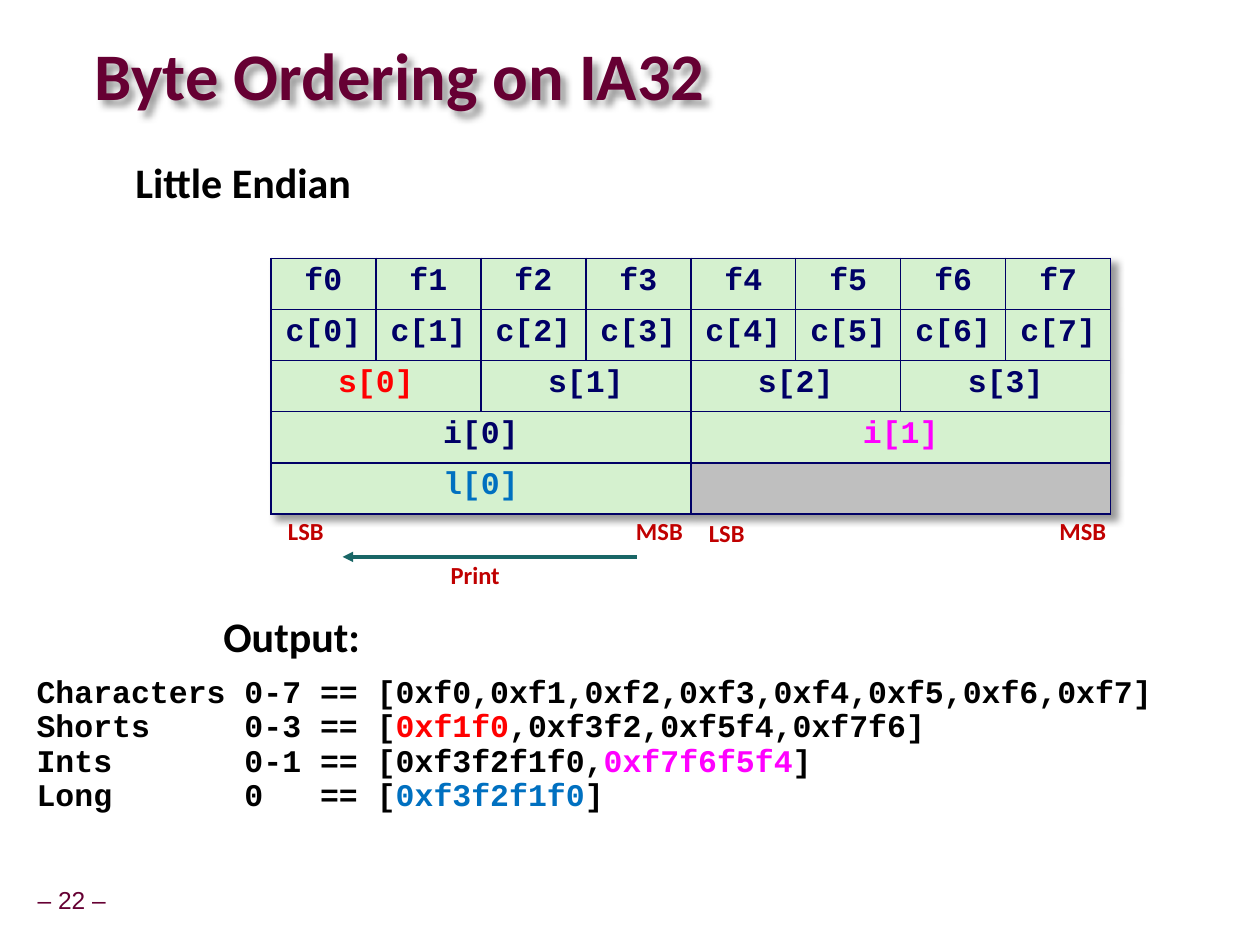
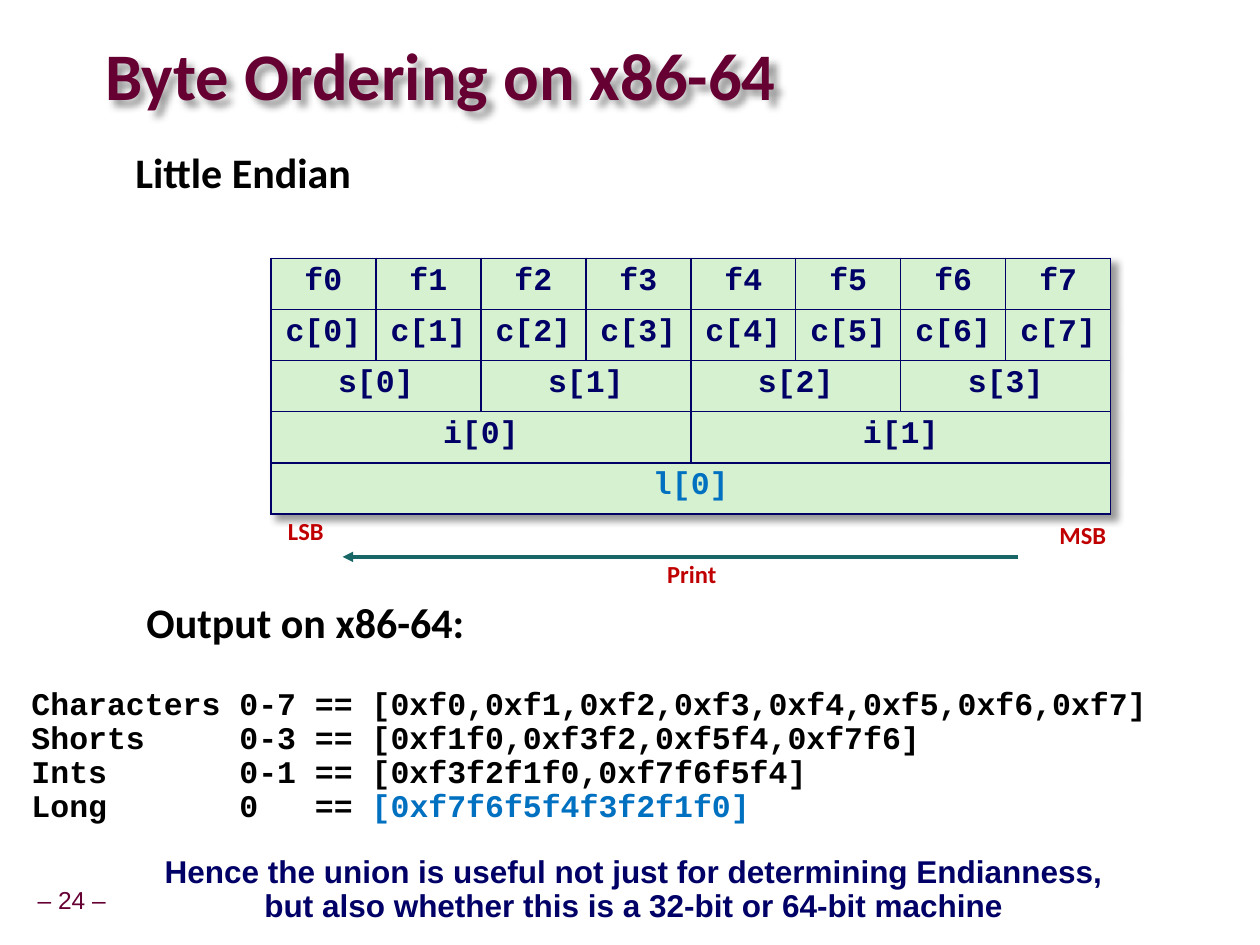
from collections.abc import Sequence
from dataclasses import dataclass, field
from typing import NamedTuple

from lxml.etree import SubElement as Sub
from pptx import Presentation as Deck
from pptx.dml.color import RGBColor as Rgb
from pptx.enum.shapes import MSO_CONNECTOR as Link
from pptx.enum.text import MSO_ANCHOR as Anchor, MSO_AUTO_SIZE as Fit, PP_ALIGN as Align
from pptx.oxml import parse_xml as to_xml
from pptx.oxml.ns import qn
from pptx.util import Pt

NS = 'xmlns:a="http://schemas.openxmlformats.org/drawingml/2006/main"'


@dataclass(frozen=True)
class Theme:
    wine: str = "660033"
    black: str = "000000"
    navy: str = "000066"
    mint: str = "D5F1CF"
    gray: str = "BFBFBF"
    teal: str = "196666"
    brick: str = "C00000"
    red: str = "FF0000"
    pink: str = "FF00FF"
    blue: str = "0070C0"
    sans: str = "Calibri"
    mono: str = "Courier New"
    plain: str = "Arial"
    big: int = 38
    mid: int = 24
    code: int = 18
    small: int = 14


T = Theme()


class Box(NamedTuple):
    left: float
    top: float
    width: float
    height: float


class Run(NamedTuple):
    text: str
    tint: str | None = None


Line = Sequence[Run]


@dataclass(frozen=True)
class Style:
    face: str
    size: int
    tint: str
    bold: bool = True
    align: Align = Align.CENTER
    space: float = 0.9
    inset: float = 2.9
    hang: float = 0
    wrap: bool = True
    anchor: Anchor = Anchor.TOP


TITLE = Style(T.sans, T.big, T.wine, align=Align.LEFT, space=0.87, inset=0,
              hang=6.5, anchor=Anchor.MIDDLE)
HEAD = Style(T.sans, T.mid, T.black, hang=14.4)
CODE = Style(T.mono, T.code, T.black, align=Align.LEFT)
CELL = Style(T.mono, T.code, T.navy)
MARK = Style(T.sans, T.small, T.brick, align=Align.RIGHT, wrap=False)
PRINT = Style(T.sans, T.small, T.brick, wrap=False)
NOTE = Style(T.plain, T.code, T.navy, inset=3.6, wrap=False)
FOOT = Style(T.plain, T.small, T.wine, bold=False, inset=3.6, wrap=False,
             anchor=Anchor.MIDDLE)


@dataclass(frozen=True)
class Label:
    text: str
    box: Box
    style: Style


@dataclass(frozen=True)
class Page:
    title: Label
    labels: Sequence[Label]
    dump: Sequence[Line]
    place: Box
    long: int
    tip: float
    tints: dict[str, str] = field(default_factory=dict)


def assign(obj, vals: dict) -> None:
    for name, val in vals.items():
        setattr(obj, name, val)


def write(frame, lines: Sequence[Line], style: Style) -> None:
    for num, line in enumerate(lines):
        para = frame.paragraphs[0] if num == 0 else frame.add_paragraph()
        assign(para, {"alignment": style.align, "line_spacing": style.space,
                      "space_before": Pt(0)})
        if style.hang:
            props = para._p.get_or_add_pPr()
            props.set("marL", str(Pt(style.hang)))
            props.set("indent", str(-Pt(style.hang)))
        for part in line:
            run = para.add_run()
            run.text = part.text
            assign(run.font, {"name": style.face, "size": Pt(style.size),
                              "bold": style.bold})
            run.font.color.rgb = Rgb.from_string(part.tint or style.tint)


def set_frame(frame, style: Style) -> None:
    side = Pt(style.inset)
    assign(frame, {
        "word_wrap": style.wrap,
        "auto_size": Fit.NONE if style.wrap else Fit.SHAPE_TO_FIT_TEXT,
        "vertical_anchor": style.anchor,
        "margin_left": side, "margin_right": side,
        "margin_top": side, "margin_bottom": side,
    })


def add_text(slide, box: Box, lines: Sequence[Line], style: Style) -> None:
    frame = slide.shapes.add_textbox(*map(Pt, box)).text_frame
    set_frame(frame, style)
    write(frame, lines, style)


def add_label(slide, label: Label) -> None:
    lines = [[Run(text)] for text in label.text.split("\n")]
    add_text(slide, label.box, lines, label.style)


def shadow():
    return to_xml(
        f'<a:effectLst {NS}><a:outerShdw blurRad="{Pt(4)}" dist="{Pt(4)}" '
        'dir="2700000" algn="tl" rotWithShape="0"><a:srgbClr val="000000">'
        '<a:alpha val="40000"/></a:srgbClr></a:outerShdw></a:effectLst>')


def set_title(slide, label: Label) -> None:
    shape = slide.shapes.title
    assign(shape, dict(zip(Box._fields, map(Pt, label.box))))
    set_frame(shape.text_frame, label.style)
    write(shape.text_frame, [[Run(label.text)]], label.style)
    shape._element.spPr.append(shadow())


def paint(cell, tint: str) -> None:
    cell.fill.solid()
    cell.fill.fore_color.rgb = Rgb.from_string(tint)
    props = cell._tc.get_or_add_tcPr()
    for num, side in enumerate("LRTB"):
        props.insert(num, to_xml(
            f'<a:ln{side} {NS} w="{Pt(1)}"><a:solidFill>'
            f'<a:srgbClr val="{T.navy}"/></a:solidFill></a:ln{side}>'))


def add_grid(slide, long: int, tints: dict[str, str]) -> None:
    rows = [("f", 1), ("c", 1), ("s", 2), ("i", 4), ("l", long)]
    high, wide = 29.25, 60
    table = slide.shapes.add_table(
        len(rows), 8, Pt(154.8), Pt(147.6), Pt(8 * wide), Pt(len(rows) * high)).table
    assign(table, {"first_row": False, "horz_banding": False})
    table._tbl.tblPr.insert(0, shadow())
    for row in table.rows:
        row.height = Pt(high)
    for col in table.columns:
        col.width = Pt(wide)
    for y, (name, span) in enumerate(rows):
        for x in range(8):
            void = name == "l" and x >= span
            paint(table.cell(y, x), T.gray if void else T.mint)
        for num in range(8 // span):
            x = num * span
            cell = table.cell(y, x)
            if span > 1:
                cell.merge(table.cell(y, x + span - 1))
            if name == "l" and num:
                continue
            text = f"f{num}" if name == "f" else f"{name}[{num}]"
            write(cell.text_frame, [[Run(text, tints.get(text))]], CELL)


def add_arrow(slide, end: float) -> None:
    line = slide.shapes.add_connector(
        Link.STRAIGHT, Pt(195.8), Pt(318.2), Pt(end), Pt(318.2))
    line.line.color.rgb = Rgb.from_string(T.teal)
    line.line.width = Pt(2)
    Sub(line.line._get_or_add_ln(), qn("a:headEnd"), type="triangle")
    Sub(line._element.spPr, qn("a:effectLst"))


def add_page(deck, page: Page) -> None:
    slide = deck.slides.add_slide(deck.slide_layouts[5])
    set_title(slide, page.title)
    add_text(slide, page.place, page.dump, CODE)
    add_grid(slide, page.long, page.tints)
    add_arrow(slide, page.tip)
    for label in page.labels:
        add_label(slide, label)


def mark(text: str, left: float, top: float = 293.8) -> Label:
    return Label(text, Box(left, top, 26.6 if text == "LSB" else 33.1, 23), MARK)


def head(text: str, left: float, top: float, width: float) -> Label:
    return Label(text, Box(left, top, width, 35.3), HEAD)


def foot(num: int) -> Label:
    return Label(f"– {num} –", Box(17.3, 504, 47.5, 22.3), FOOT)


def show(left: float, top: float) -> Label:
    return Label("Print", Box(left, top, 34.6, 23), PRINT)


CHARS = [Run("Characters 0-7 == [0xf0,0xf1,0xf2,0xf3,0xf4,0xf5,0xf6,0xf7]")]

PAGES = [
    Page(
        title=Label("Byte Ordering on IA32", Box(54, 0, 494, 91.4), TITLE),
        labels=[
            head("Little Endian", 36, 90, 206), head("Output:", 22.3, 349.2, 288.7),
            mark("LSB", 161.3), mark("MSB", 360), mark("LSB", 401.8, 295.2),
            mark("MSB", 602), show(254.2, 319), foot(22),
        ],
        dump=[
            CHARS,
            [Run("Shorts     0-3 == ["), Run("0xf1f0", T.red),
             Run(",0xf3f2,0xf5f4,0xf7f6]")],
            [Run("Ints       0-1 == [0xf3f2f1f0,"), Run("0xf7f6f5f4", T.pink), Run("]")],
            [Run("Long       0   == ["), Run("0xf3f2f1f0", T.blue), Run("]")],
        ],
        place=Box(18, 383.8, 666, 113.8),
        long=4,
        tip=364.3,
        tints={"s[0]": T.red, "i[1]": T.pink, "l[0]": T.blue},
    ),
    Page(
        title=Label("Byte Ordering on x86-64", Box(60, 0, 510, 91.4), TITLE),
        labels=[
            head("Little Endian", 36, 84.2, 206),
            head("Output on x86-64:", 30.2, 341.3, 288.7),
            mark("LSB", 161.3), mark("MSB", 602, 296), show(378, 318.2), foot(24),
            Label("Hence the union is useful not just for determining Endianness,\n"
                  "but also whether this is a 32-bit or 64-bit machine",
                  Box(84.2, 486, 556, 46.8), NOTE),
        ],
        dump=[
            CHARS,
            [Run("Shorts     0-3 == [0xf1f0,0xf3f2,0xf5f4,0xf7f6]")],
            [Run("Ints       0-1 == [0xf3f2f1f0,0xf7f6f5f4]")],
            [Run("Long       0   == "), Run("[0xf7f6f5f4f3f2f1f0]", T.blue)],
        ],
        place=Box(15.1, 390.2, 690, 97.2),
        long=8,
        tip=581.8,
        tints={"l[0]": T.blue},
    ),
]


def main() -> None:
    deck = Deck()
    assign(deck, {"slide_width": Pt(720), "slide_height": Pt(540)})
    for page in PAGES:
        add_page(deck, page)
    deck.save("out.pptx")


if __name__ == "__main__":
    main()
